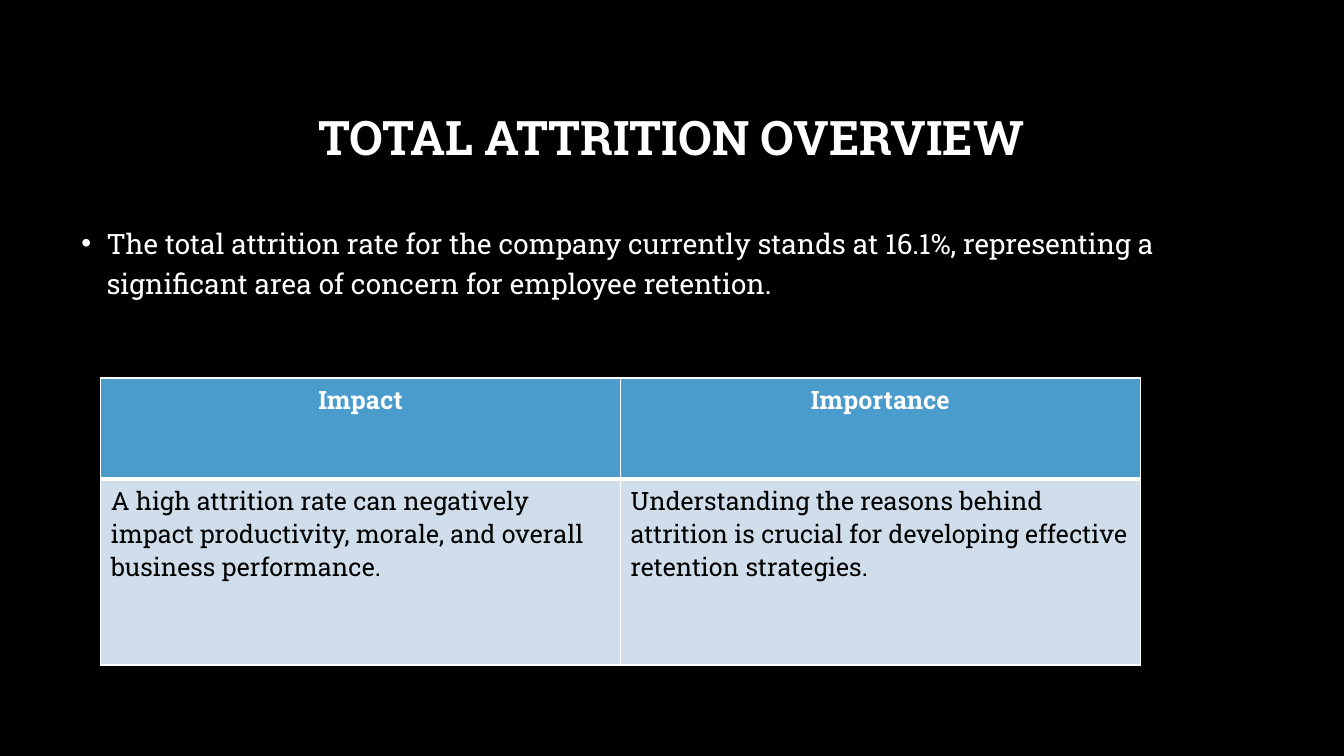
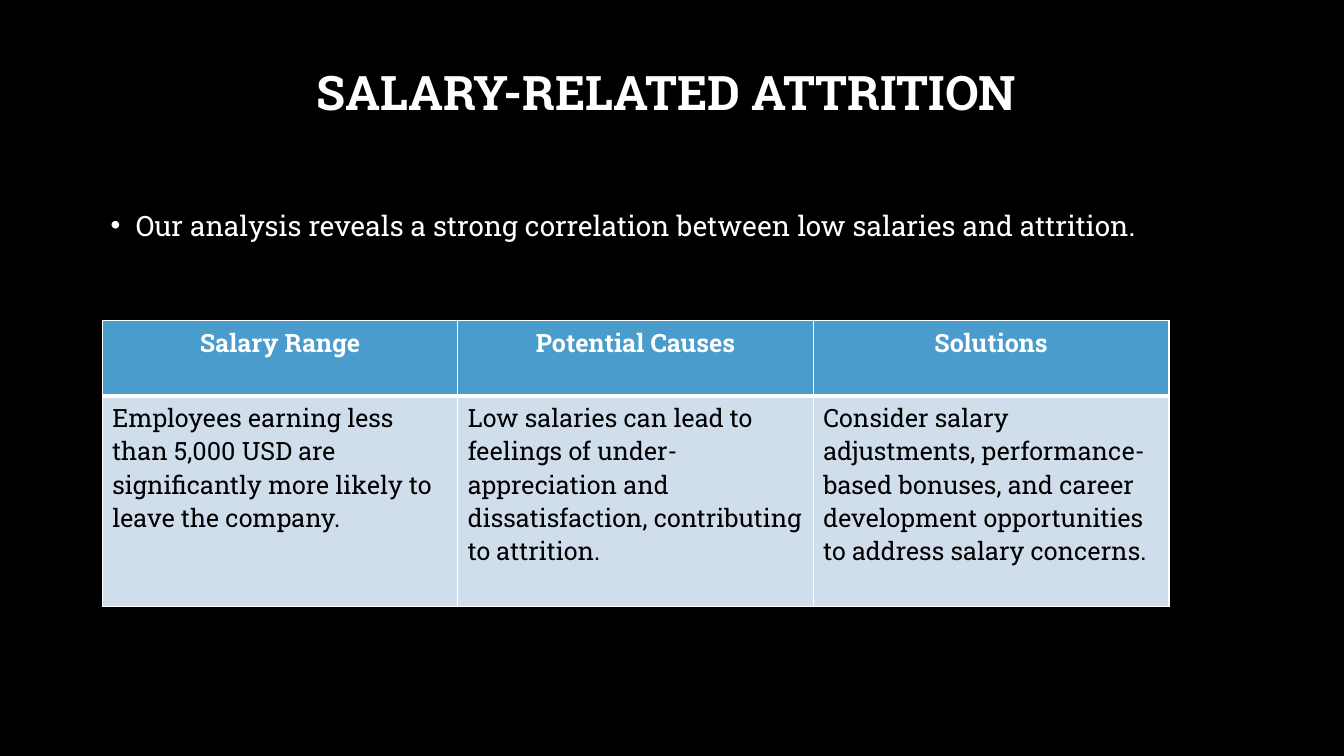
from dataclasses import dataclass

from lxml.etree import SubElement
from pptx import Presentation
from pptx.dml.color import RGBColor as Rgb
from pptx.enum.text import MSO_ANCHOR as Anchor, PP_ALIGN as Align
from pptx.oxml import parse_xml
from pptx.oxml.ns import nsdecls, qn
from pptx.util import Pt


@dataclass(frozen=True)
class Theme:
    font: str = "Roboto Slab"
    background: str = "000000"
    light: str = "FFFFFF"
    dark: str = "000000"
    header_fill: str = "4A9CCC"
    body_fill: str = "D0DEEC"
    title_size: int = 34
    bullet_size: int = 20
    table_size: int = 18
    thin_line: int = 1
    header_line: int = 3


theme = Theme()


def style_text(para, size, color, bold=False):
    para.font.name = theme.font
    para.font.size = Pt(size)
    para.font.bold = bold
    para.font.color.rgb = Rgb.from_string(color)


def add_border(cell, index, side, width):
    cell._tc.get_or_add_tcPr().insert(index, parse_xml(
        f'<a:{side} {nsdecls("a")} w="{Pt(width)}"><a:solidFill>'
        f'<a:srgbClr val="{theme.light}"/></a:solidFill></a:{side}>'))


slides = [
    {
        "title": "TOTAL ATTRITION OVERVIEW",
        "title_at": (72, 48),
        "bullet": "The total attrition rate for the company currently stands at 16.1%, "
                  "representing a significant area of concern for employee retention.",
        "bullet_at": (51, 153.5),
        "table_at": (72, 270),
        "table_width": 742.5,
        "row_heights": (72, 133),
        "rows": [
            ("Impact", "Importance"),
            ("A high attrition rate can negatively impact productivity, morale, "
             "and overall business performance.",
             "Understanding the reasons behind attrition is crucial for developing "
             "effective retention strategies."),
        ],
    },
    {
        "title": "SALARY-RELATED ATTRITION",
        "title_at": (68.5, 16),
        "bullet": "Our analysis reveals a strong correlation between low salaries "
                  "and attrition.",
        "bullet_at": (72, 140.5),
        "table_at": (73, 229),
        "table_width": 762,
        "row_heights": (54, 150),
        "rows": [
            ("Salary Range", "Potential Causes", "Solutions"),
            ("Employees earning less than 5,000 USD are significantly more likely "
             "to leave the company.",
             "Low salaries can lead to feelings of under-appreciation and "
             "dissatisfaction, contributing to attrition.",
             "Consider salary adjustments, performance-based bonuses, and career "
             "development opportunities to address salary concerns."),
        ],
    },
]

deck = Presentation()
deck.slide_width, deck.slide_height = Pt(960), Pt(540)
text_width = Pt(815)

for content in slides:
    page = deck.slides.add_slide(deck.slide_layouts[6])
    page.background.fill.solid()
    page.background.fill.fore_color.rgb = Rgb.from_string(theme.background)

    left, top = content["title_at"]
    title_box = page.shapes.add_textbox(Pt(left), Pt(top), text_width, Pt(104.5))
    title_box.text_frame.word_wrap = True
    title_box.text_frame.vertical_anchor = Anchor.MIDDLE
    para = title_box.text_frame.paragraphs[0]
    para.text = content["title"]
    para.alignment = Align.CENTER
    para.line_spacing = 0.9
    style_text(para, theme.title_size, theme.light, bold=True)

    left, top = content["bullet_at"]
    bullet_box = page.shapes.add_textbox(Pt(left), Pt(top), text_width, Pt(80))
    bullet_box.text_frame.word_wrap = True
    para = bullet_box.text_frame.paragraphs[0]
    para.text = content["bullet"]
    para.line_spacing = 1.2
    para.space_before = Pt(10)
    style_text(para, theme.bullet_size, theme.light)
    properties = para._p.get_or_add_pPr()
    properties.set("marL", str(Pt(18)))
    properties.set("indent", str(Pt(-18)))
    bullet_font = SubElement(properties, qn("a:buFont"), typeface="Arial")
    bullet_mark = SubElement(properties, qn("a:buChar"), char="•")
    default_run = properties.find(qn("a:defRPr"))
    default_run.addprevious(bullet_font)
    default_run.addprevious(bullet_mark)

    rows = content["rows"]
    left, top = content["table_at"]
    width = content["table_width"]
    heights = content["row_heights"]
    table = page.shapes.add_table(
        len(rows), len(rows[0]), Pt(left), Pt(top), Pt(width), Pt(sum(heights))).table
    for column in table.columns:
        column.width = Pt(width / len(rows[0]))

    for row_index, texts in enumerate(rows):
        is_header = row_index == 0
        table.rows[row_index].height = Pt(heights[row_index])
        for column_index, text in enumerate(texts):
            cell = table.cell(row_index, column_index)
            cell.fill.solid()
            cell.fill.fore_color.rgb = Rgb.from_string(
                theme.header_fill if is_header else theme.body_fill)
            para = cell.text_frame.paragraphs[0]
            para.text = text
            para.alignment = Align.CENTER if is_header else Align.LEFT
            style_text(para, theme.table_size,
                       theme.light if is_header else theme.dark, bold=is_header)
            divider = "lnB" if is_header else "lnT"
            for index, side in enumerate(("lnL", "lnR", "lnT", "lnB")):
                add_border(cell, index, side,
                           theme.header_line if side == divider else theme.thin_line)

deck.save("out.pptx")
